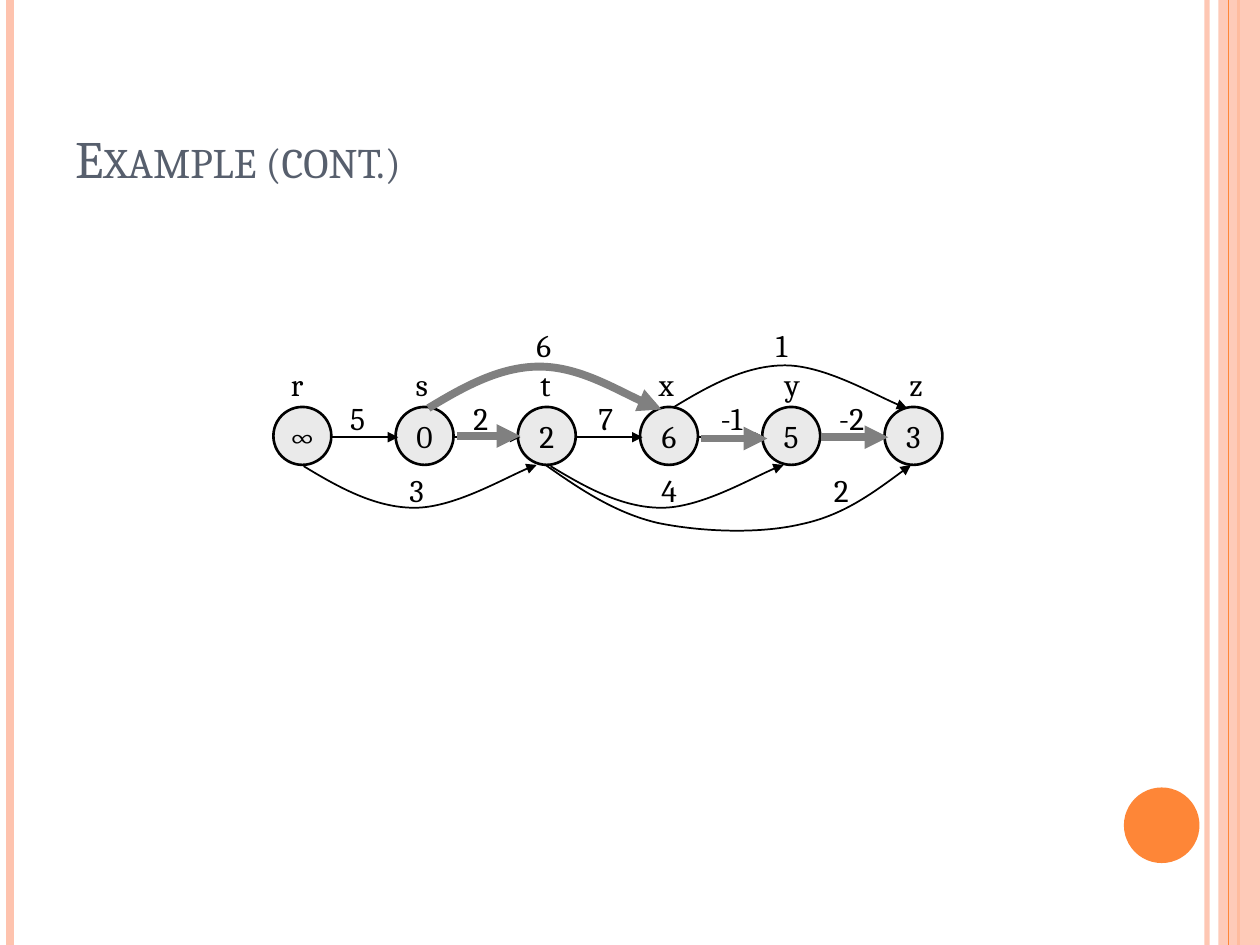
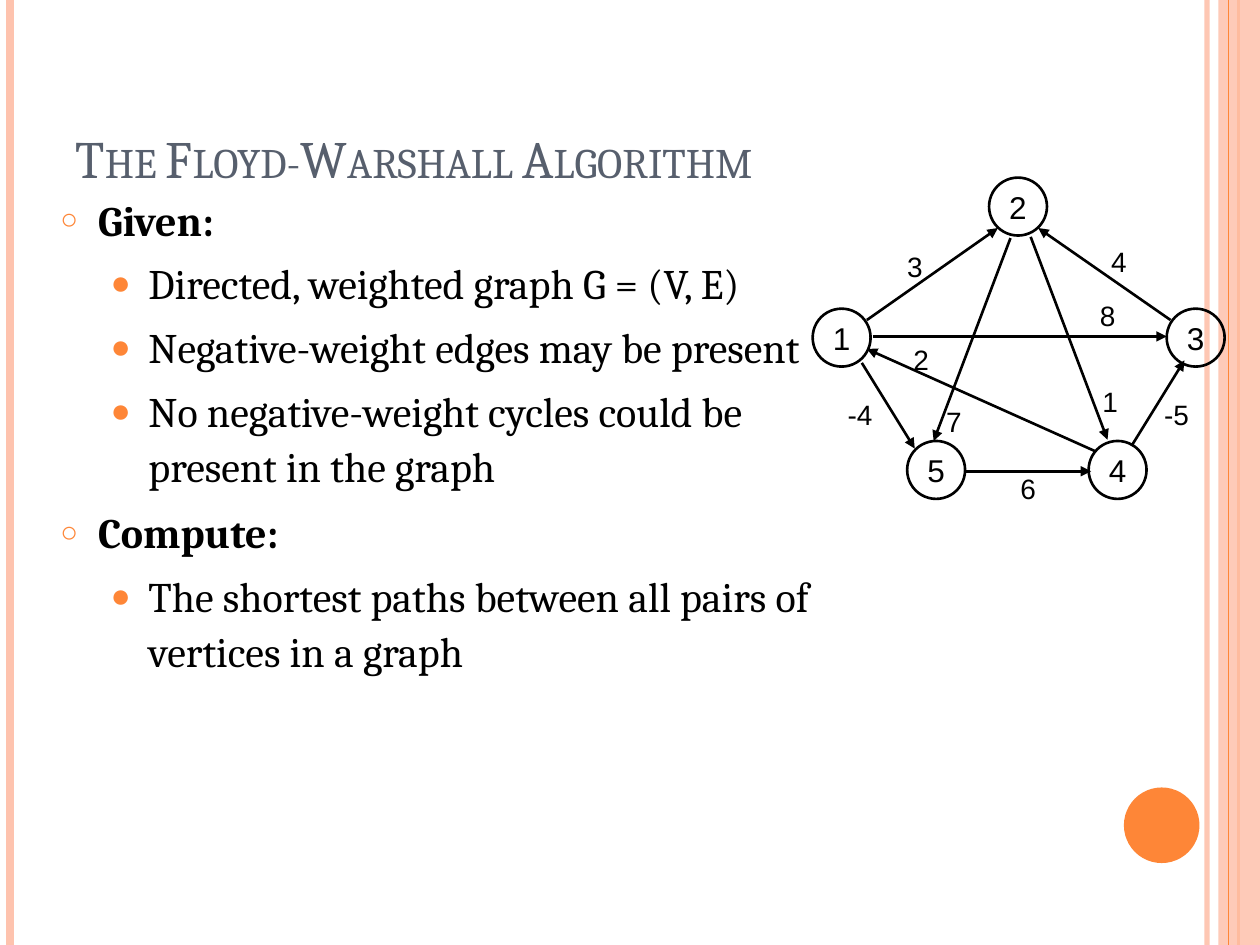
"""Build two slides on shortest paths: a worked example and the Floyd-Warshall problem."""
from dataclasses import dataclass
from typing import Any

from lxml import etree
from pptx import Presentation
from pptx.dml.color import RGBColor
from pptx.enum.shapes import MSO_CONNECTOR, MSO_SHAPE
from pptx.enum.text import MSO_ANCHOR, MSO_AUTO_SIZE, PP_ALIGN
from pptx.oxml.ns import qn
from pptx.util import Inches, Pt

STRAIGHT = MSO_CONNECTOR.STRAIGHT
OVAL = MSO_SHAPE.OVAL
RECTANGLE = MSO_SHAPE.RECTANGLE
MIDDLE = MSO_ANCHOR.MIDDLE
BOTTOM = MSO_ANCHOR.BOTTOM
TOP = MSO_ANCHOR.TOP
LEFT = PP_ALIGN.LEFT
CENTER = PP_ALIGN.CENTER
FIT_SHAPE = MSO_AUTO_SIZE.SHAPE_TO_FIT_TEXT
NO_FIT = MSO_AUTO_SIZE.NONE

BLACK = RGBColor(0x00, 0x00, 0x00)
GREY = RGBColor(0x80, 0x80, 0x80)
NODE_GREY = RGBColor(0xEA, 0xEA, 0xEA)
PEACH = RGBColor(0xFE, 0xC3, 0xAE)
ORANGE = RGBColor(0xFE, 0x86, 0x37)
SLATE = RGBColor(0x57, 0x5F, 0x6D)

SERIF = "Cambria"
SANS = "Arial"
TITLE_ONLY = 5
SLIDE_WIDTH, SLIDE_HEIGHT = 10, 7.5
NODE_SIZE = 0.46
NODE_FONT_SIZE = 18
NODE_LINE = 1.5
HIGHLIGHT_LINE = 4.5
BULLET_HANG = 0.3

Point = tuple[float, float]
Box = tuple[float, float, float, float]


@dataclass(frozen=True)
class Band:
    x: float
    color: RGBColor
    width: float
    opacity: int = 100


@dataclass(frozen=True)
class GraphStyle:
    font: str
    label_size: int
    digit_width: float
    sign_width: float
    label_height: float
    line_width: float
    fill: RGBColor | None = None


@dataclass(frozen=True)
class Label:
    text: str
    left: float
    top: float


@dataclass(frozen=True)
class Bullet:
    text: str
    level: int = 0


@dataclass(frozen=True)
class BulletStyle:
    mark: str
    percent: int
    margin: float
    space: float
    bold: bool


BANDS = [Band(9.58, PEACH, 3, 93), Band(0.08, PEACH, 4.5), Band(9.83, ORANGE, 1.5)]
INNER_BAND = Band(9.75, ORANGE, 0.75)
SIDE_PANEL = (9.67, 0, 0.33, SLIDE_HEIGHT)
CORNER_DISC = (8.92, 6.25, 0.6, 0.6)
TITLE_BOX = (0.5, 0.3, 8.42, 1.25)

CHAIN = GraphStyle(SERIF, 18, 0.34, 0.42, 0.4, 1, NODE_GREY)
CHAIN_DISTANCES = "∞02653"
CHAIN_LEFT, CHAIN_TOP, CHAIN_STEP = 2.17, 3.23, 0.97
CHAIN_EDGE_Y, CHAIN_EDGE_LENGTH = 3.47, 0.53
CHAIN_LABEL_ROWS = {
    2.54: [("6", 4.16), ("1", 6.06)],
    2.85: [("r", 2.21), ("s", 3.2), ("t", 4.19), ("x", 5.13), ("y", 6.13), ("z", 7.12)],
    3.12: [("5", 2.68), ("2", 3.66), ("7", 4.65), ("-1", 5.62), ("-2", 6.56)],
    3.69: [("3", 3.15), ("4", 5.15), ("2", 6.52)],
}
ARCH_HEIGHT = 0.34
ARCH = [(0, 0.33), (0.28, 0.16), (0.57, 0), (0.88, 0),
        (1.19, 0), (1.69, 0.29), (1.85, 0.34)]
UPPER_ARCH_TOP, UPPER_ARCH_LEFTS = 2.9, (3.39, 5.35)
LOWER_ARCH_TOP, LOWER_ARCH_LEFTS = 3.69, (4.37, 2.41)
LONG_CURVE = [(4.33, 3.69), (4.6, 3.88), (4.88, 4.07), (5.22, 4.15), (5.56, 4.22),
              (6.02, 4.24), (6.36, 4.16), (6.69, 4.09), (6.96, 3.89), (7.23, 3.69)]
TREE_ARCH_START = (3.4, 2.91)
TREE_EDGES = [((3.63, 3.46), (4.13, 3.46)), ((5.56, 3.48), (6.09, 3.48)),
              ((6.52, 3.47), (7.05, 3.47))]

NETWORK = GraphStyle(SANS, 16, 0.32, 0.4, 0.37, 1.5)
NETWORK_NODES = [Label("1", 6.45, 2.45), Label("2", 7.85, 1.41), Label("3", 9.26, 2.45),
                 Label("5", 7.2, 3.5), Label("4", 8.64, 3.5)]
NETWORK_EDGES = [
    ((6.88, 2.54), (7.92, 1.81)), ((6.84, 2.88), (7.26, 3.56)),
    ((7.67, 3.74), (8.66, 3.74)), ((8.18, 1.88), (8.79, 3.49)),
    ((8.69, 3.58), (6.88, 2.77)), ((9.29, 2.54), (8.24, 1.81)),
    ((8.02, 1.89), (7.41, 3.5)), ((8.98, 3.54), (9.4, 2.86)),
    ((6.93, 2.67), (9.26, 2.67)),
]
NETWORK_LABELS = [
    Label("3", 7.1, 1.93), Label("-4", 6.63, 3.11), Label("7", 7.41, 3.16),
    Label("6", 8, 3.69), Label("2", 7.15, 2.67), Label("4", 8.72, 1.89),
    Label("1", 8.65, 3), Label("-5", 9.14, 3.11), Label("8", 8.63, 2.32),
]

BULLET_BOX = (0.38, 0.97, 6.62, 5.55)
BULLET_TOP_MARGIN = 0.53
BULLET_STYLES = [BulletStyle("○", 70, 0.3, 6, True), BulletStyle("●", 80, 0.7, 4.8, False)]
BULLETS = [
    Bullet("Given:"),
    Bullet("Directed, weighted graph G = (V, E)", 1),
    Bullet("Negative-weight edges may be present", 1),
    Bullet("No negative-weight cycles could be present in the graph", 1),
    Bullet("Compute:"),
    Bullet("The shortest paths between all pairs of vertices in a graph", 1),
]


def inches(values: tuple[float, ...]) -> list[int]:
    return [Inches(value) for value in values]


def apply_format(target: Any, values: dict[str, Any]) -> None:
    for name, value in values.items():
        setattr(target, name, value)


def format_font(font: Any, name: str, size: float, color: RGBColor, bold: bool = False) -> None:
    apply_format(font, {"name": name, "size": Pt(size), "bold": bold})
    font.color.rgb = color


def format_line(shape: Any, color: RGBColor, width: float, arrow: bool = False) -> None:
    shape.line.color.rgb = color
    shape.line.width = Pt(width)
    if arrow:
        line = shape.element.spPr.find(qn("a:ln"))
        etree.SubElement(line, qn("a:tailEnd"), type="triangle")


def set_opacity(shape: Any, percent: int) -> None:
    for color in shape.element.spPr.iter(qn("a:srgbClr")):
        etree.SubElement(color, qn("a:alpha"), val=str(percent * 1000))


def add_line(slide: Any, start: Point, end: Point, color: RGBColor, width: float,
             arrow: bool = False) -> Any:
    connector = slide.shapes.add_connector(STRAIGHT, *inches(start + end))
    format_line(connector, color, width, arrow)
    etree.SubElement(connector.element.spPr, qn("a:effectLst"))
    return connector


def add_solid(slide: Any, kind: Any, box: Box, color: RGBColor | None) -> Any:
    shape = slide.shapes.add_shape(kind, *inches(box))
    shape.shadow.inherit = False
    shape.line.fill.background()
    if color is None:
        shape.fill.background()
    else:
        shape.fill.solid()
        shape.fill.fore_color.rgb = color
    return shape


def add_curve(slide: Any, points: list[Point], color: RGBColor, width: float) -> None:
    start, *controls = [inches(point) for point in points]
    builder = slide.shapes.build_freeform(*start)
    builder.add_line_segments(controls, close=False)
    shape = builder.convert_to_shape()
    shape.shadow.inherit = False
    shape.fill.background()
    format_line(shape, color, width, arrow=True)
    outline = next(shape.element.iter(qn("a:path")))
    segments = outline.findall(qn("a:lnTo"))
    for first in range(0, len(segments), 3):
        bezier = etree.SubElement(outline, qn("a:cubicBezTo"))
        for segment in segments[first:first + 3]:
            bezier.append(segment[0])
            outline.remove(segment)


def arch_points(left: float, top: float, below: bool = False) -> list[Point]:
    return [(left + x, top + (ARCH_HEIGHT - y if below else y)) for x, y in ARCH]


def add_band(slide: Any, band: Band) -> None:
    connector = add_line(slide, (band.x, 0), (band.x, SLIDE_HEIGHT), band.color, band.width)
    set_opacity(connector, band.opacity)


def add_titled_slide(presentation: Any, title: str) -> Any:
    slide = presentation.slides.add_slide(presentation.slide_layouts[TITLE_ONLY])
    for band in BANDS:
        add_band(slide, band)
    set_opacity(add_solid(slide, RECTANGLE, SIDE_PANEL, PEACH), 87)
    add_band(slide, INNER_BAND)
    add_solid(slide, OVAL, CORNER_DISC, ORANGE)

    placeholder = slide.shapes.title
    apply_format(placeholder, dict(zip(("left", "top", "width", "height"), inches(TITLE_BOX))))
    frame = placeholder.text_frame
    frame.text = title
    apply_format(frame, {"vertical_anchor": BOTTOM, "auto_size": NO_FIT, "word_wrap": True})
    paragraph = frame.paragraphs[0]
    paragraph.alignment = LEFT
    format_font(paragraph.runs[0].font, SERIF, 30, SLATE)
    next(placeholder.element.iter(qn("a:rPr"))).set("cap", "small")
    return slide


def add_node(slide: Any, node: Label, style: GraphStyle) -> None:
    shape = add_solid(slide, OVAL, (node.left, node.top, NODE_SIZE, NODE_SIZE), style.fill)
    format_line(shape, BLACK, NODE_LINE)
    frame = shape.text_frame
    frame.text = node.text
    apply_format(frame, {"vertical_anchor": MIDDLE, "word_wrap": False})
    paragraph = frame.paragraphs[0]
    paragraph.alignment = CENTER
    format_font(paragraph.runs[0].font, style.font, NODE_FONT_SIZE, BLACK)


def add_label(slide: Any, label: Label, style: GraphStyle) -> None:
    width = style.digit_width if len(label.text) == 1 else style.sign_width
    box = (label.left, label.top, width, style.label_height)
    frame = slide.shapes.add_textbox(*inches(box)).text_frame
    frame.text = label.text
    apply_format(frame, {"word_wrap": False, "auto_size": FIT_SHAPE})
    format_font(frame.paragraphs[0].runs[0].font, style.font, style.label_size, BLACK)


def add_mark(properties: Any, style: BulletStyle) -> None:
    properties.set("marL", str(Inches(style.margin)))
    properties.set("indent", str(-Inches(BULLET_HANG)))
    color = etree.SubElement(properties, qn("a:buClr"))
    etree.SubElement(color, qn("a:srgbClr"), val=str(ORANGE))
    etree.SubElement(properties, qn("a:buSzPct"), val=str(style.percent * 1000))
    etree.SubElement(properties, qn("a:buFont"), typeface=SANS)
    etree.SubElement(properties, qn("a:buChar"), char=style.mark)


def add_bullets(slide: Any, bullets: list[Bullet]) -> None:
    shape = slide.shapes.add_textbox(*inches(BULLET_BOX))
    frame = shape.text_frame
    frame.text = "\n".join(bullet.text for bullet in bullets)
    apply_format(frame, {"word_wrap": True, "vertical_anchor": TOP,
                         "margin_top": Inches(BULLET_TOP_MARGIN)})
    for paragraph, bullet in zip(frame.paragraphs, bullets):
        style = BULLET_STYLES[bullet.level]
        apply_format(paragraph, {"level": bullet.level, "line_spacing": 1.1,
                                 "space_before": Pt(style.space)})
        format_font(paragraph.runs[0].font, SERIF, 24, BLACK, style.bold)
    frame.paragraphs[0].space_before = Pt(0)
    for properties, bullet in zip(shape.element.iter(qn("a:pPr")), bullets):
        add_mark(properties, BULLET_STYLES[bullet.level])


def build_example(presentation: Any) -> None:
    slide = add_titled_slide(presentation, "Example (cont.)")
    lefts = [CHAIN_LEFT + CHAIN_STEP * index for index in range(len(CHAIN_DISTANCES))]
    for distance, left in zip(CHAIN_DISTANCES, lefts):
        add_node(slide, Label(distance, left, CHAIN_TOP), CHAIN)
    for left in lefts[:-1]:
        start = left + NODE_SIZE
        add_line(slide, (start, CHAIN_EDGE_Y), (start + CHAIN_EDGE_LENGTH, CHAIN_EDGE_Y),
                 BLACK, CHAIN.line_width, arrow=True)
    upper_arches = [arch_points(left, UPPER_ARCH_TOP) for left in UPPER_ARCH_LEFTS]
    lower_arches = [arch_points(left, LOWER_ARCH_TOP, below=True) for left in LOWER_ARCH_LEFTS]
    for curve in [*upper_arches, *lower_arches, LONG_CURVE]:
        add_curve(slide, curve, BLACK, CHAIN.line_width)
    for top, row in CHAIN_LABEL_ROWS.items():
        for text, left in row:
            add_label(slide, Label(text, left, top), CHAIN)
    for start, end in TREE_EDGES:
        add_line(slide, start, end, GREY, HIGHLIGHT_LINE, arrow=True)
    add_curve(slide, arch_points(*TREE_ARCH_START), GREY, HIGHLIGHT_LINE)


def build_algorithm(presentation: Any) -> None:
    slide = add_titled_slide(presentation, "The Floyd-Warshall Algorithm")
    add_bullets(slide, BULLETS)
    for node in NETWORK_NODES:
        add_node(slide, node, NETWORK)
    for start, end in NETWORK_EDGES:
        add_line(slide, start, end, BLACK, NETWORK.line_width, arrow=True)
    for label in NETWORK_LABELS:
        add_label(slide, label, NETWORK)


presentation = Presentation()
apply_format(presentation, {"slide_width": Inches(SLIDE_WIDTH),
                            "slide_height": Inches(SLIDE_HEIGHT)})
build_example(presentation)
build_algorithm(presentation)
presentation.save("out.pptx")
